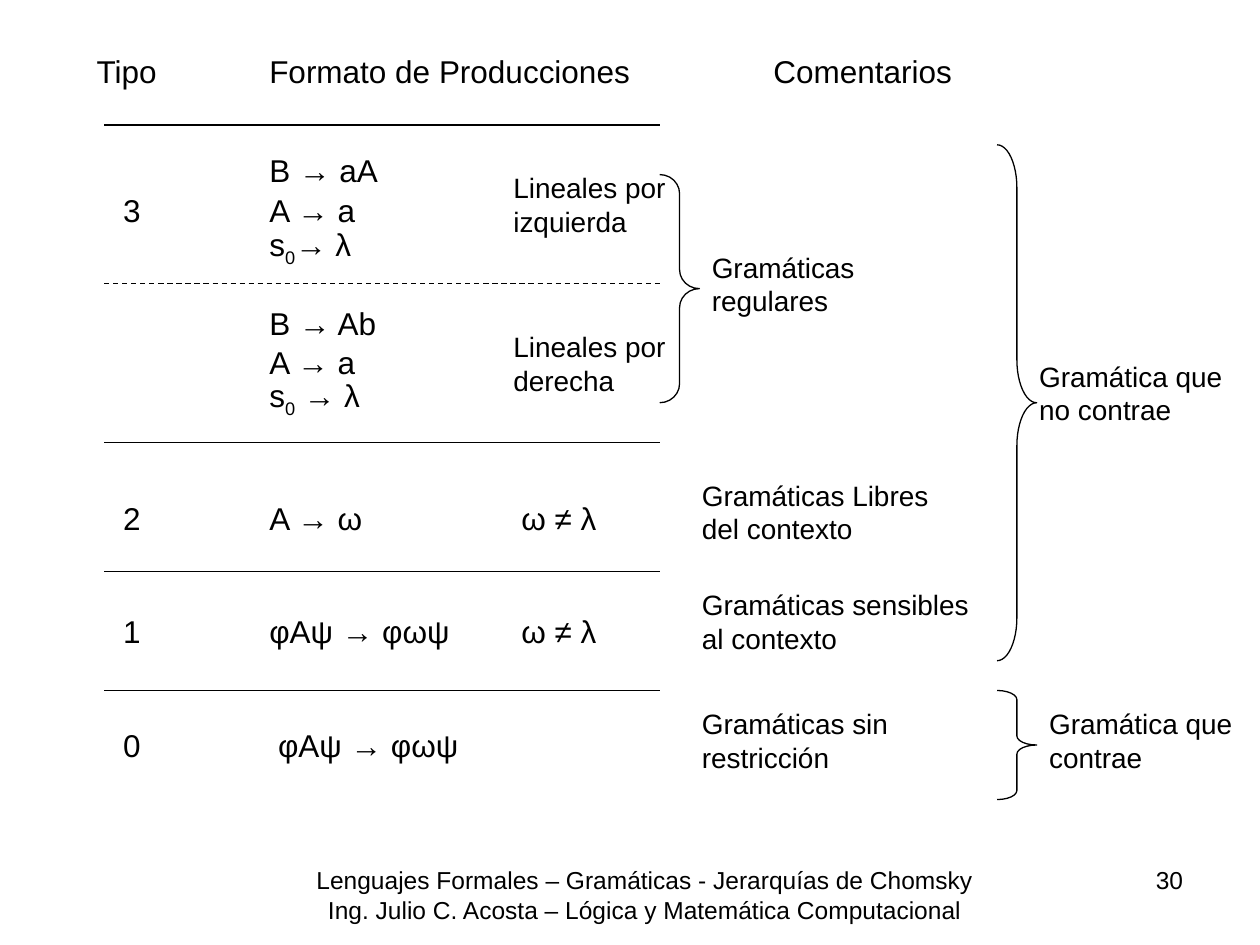
from dataclasses import dataclass

from lxml import etree
from pptx import Presentation
from pptx import util as u
from pptx.dml.color import RGBColor
from pptx.enum import dml, shapes, text
from pptx.oxml.ns import qn


@dataclass(frozen=True)
class Theme:
    font: str = "Arial"
    ink: RGBColor = RGBColor(0, 0, 0)
    grammar: int = 18
    comment: int = 16
    footer: int = 14
    line: float = 0.75
    leading: int = 22


THEME = Theme()
WIDTH, HEIGHT = u.Inches(10), u.Inches(7.5)
CELL = WIDTH / 127
MARGIN_X, MARGIN_Y = 0.5, 0.6  # grid origin, in cells

RULE_LEFT, RULE_RIGHT = 10, 66
SOLID_RULES = (12, 44, 57, 69)
DASHED_RULE = 28
TAB_STOPS = (0.21, 1.37, 3.37, 5.37)

# Space before in points, then the line; "_0" marks the subscript zero.
PRODUCTIONS = (
    (0, "Tipo\tFormato de Producciones\tComentarios"),
    (34.5, "\t\tB → aA"),
    (0.5, "\t3\tA → a"),
    (0.5, "\t\ts_0→ λ"),
    (20.5, "\t\tB → Ab"),
    (0, "\t\tA → a"),
    (0, "\t\ts_0 → λ"),
    (45, "\t2\tA → ω\tω ≠ λ"),
    (43, "\t1\tφAψ → φωψ\tω ≠ λ"),
    (43, "\t0\t φAψ → φωψ"),
)

# Column, row, width, wording
COMMENTS = (
    (50, 16, 20, "Lineales por izquierda"),
    (50, 32, 20, "Lineales por derecha"),
    (70, 24, 20, "Gramáticas regulares"),
    (69, 47, 26, "Gramáticas Libres del contexto"),
    (69, 58, 30, "Gramáticas sensibles al contexto"),
    (69, 70, 30, "Gramáticas sin restricción"),
    (104, 70, 21, "Gramática que contrae"),
    (103, 35, 22, "Gramática que no contrae"),
)

# Column, first row, last row
BRACES = ((66, 17, 40), (100, 14, 66), (100, 69, 80))

FOOTER = (
    "Lenguajes Formales – Gramáticas - Jerarquías de Chomsky\n"
    "Ing. Julio C. Acosta – Lógica y Matemática Computacional"
)


def x(column):
    return round((column + MARGIN_X) * CELL)


def y(row):
    return round((row + MARGIN_Y) * CELL)


def span(cells):
    return round(cells * CELL)


def style(paragraph, size):
    for run in paragraph.runs:
        run.font.name = THEME.font
        run.font.size = u.Pt(size)
        run.font.color.rgb = THEME.ink


def add_frame(slide, column, row, columns, rows):
    box = slide.shapes.add_textbox(x(column), y(row), span(columns), span(rows))
    box.text_frame.word_wrap = True
    return box.text_frame


def add_label(slide, column, row, columns, rows, wording, size,
              align=text.PP_ALIGN.LEFT):
    frame = add_frame(slide, column, row, columns, rows)
    frame.text = wording
    for paragraph in frame.paragraphs:
        paragraph.alignment = align
        style(paragraph, size)


def set_tab_stops(paragraph):
    tabs = etree.SubElement(paragraph._p.get_or_add_pPr(), qn("a:tabLst"))
    for stop in TAB_STOPS:
        etree.SubElement(tabs, qn("a:tab"), pos=str(u.Inches(stop)), algn="l")


def add_productions(slide):
    frame = add_frame(slide, 8, 4, 111, 76)
    for index, (gap, wording) in enumerate(PRODUCTIONS):
        production = frame.add_paragraph() if index else frame.paragraphs[0]
        production.line_spacing = u.Pt(THEME.leading)
        production.space_before = u.Pt(gap)
        set_tab_stops(production)
        before, subscript, after = wording.partition("_0")
        for part in filter(None, (before, subscript[1:], after)):
            production.add_run().text = part
        style(production, THEME.grammar)
        if subscript:
            production.runs[1].font._element.set("baseline", "-25000")


def draw_outline(line):
    line.color.rgb = THEME.ink
    line.width = u.Pt(THEME.line)


def add_rule(slide, row, dash=None):
    rule = slide.shapes.add_connector(
        shapes.MSO_CONNECTOR.STRAIGHT,
        x(RULE_LEFT), y(row), x(RULE_RIGHT), y(row))
    draw_outline(rule.line)
    if dash:
        rule.line.dash_style = dash
    etree.SubElement(rule._element.spPr, qn("a:effectLst"))


def add_brace(slide, column, first, last):
    """Draw a right brace whose curves each take a twelfth of its height."""
    columns, rows = 4, last - first
    brace = slide.shapes.add_shape(
        shapes.MSO_SHAPE.RIGHT_BRACE,
        x(column), y(first), span(columns), span(rows))
    brace.adjustments[0] = rows / 12 / columns
    brace.shadow.inherit = False
    brace.fill.background()
    draw_outline(brace.line)


def main():
    deck = Presentation()
    deck.slide_width, deck.slide_height = WIDTH, HEIGHT
    slide = deck.slides.add_slide(deck.slide_layouts[6])

    add_productions(slide)
    for brace in BRACES:
        add_brace(slide, *brace)
    for column, row, columns, wording in COMMENTS:
        add_label(slide, column, row, columns, 8, wording, THEME.comment)
    for row in SOLID_RULES:
        add_rule(slide, row)
    add_rule(slide, DASHED_RULE, dml.MSO_LINE.DASH)

    add_label(slide, 27, 86, 75, 6.6, FOOTER, THEME.footer, text.PP_ALIGN.CENTER)
    add_label(slide, 90, 86, 30, 6.6, "30", THEME.footer, text.PP_ALIGN.RIGHT)
    deck.save("out.pptx")


if __name__ == "__main__":
    main()
